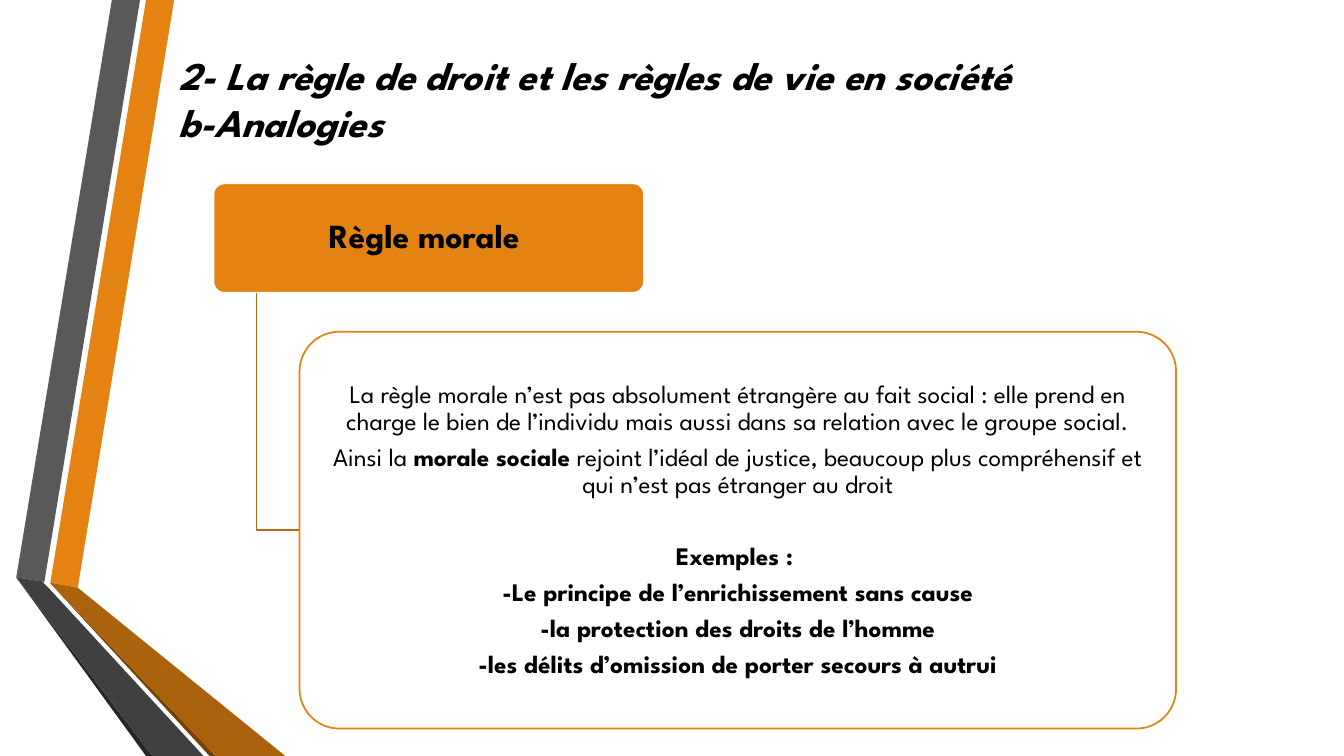
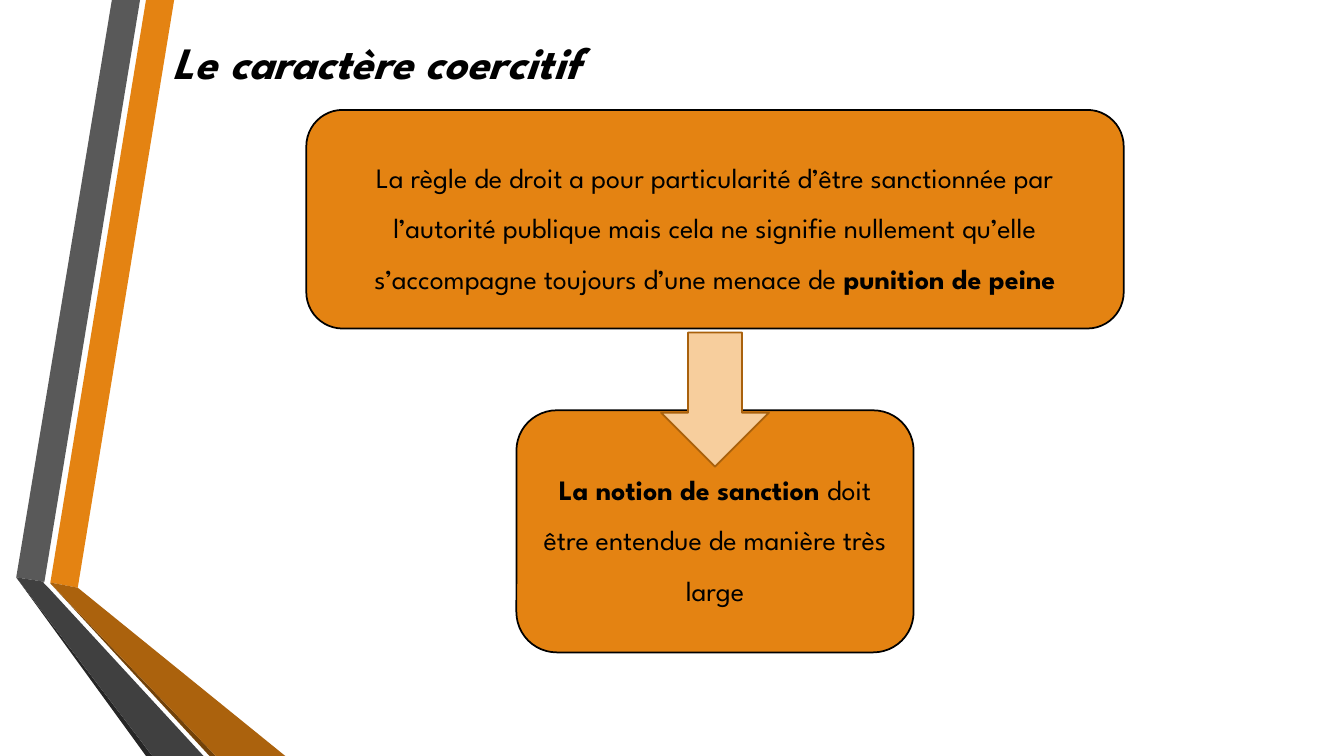
from pptx import Presentation
from pptx.dml.color import RGBColor
from pptx.enum.shapes import MSO_SHAPE
from pptx.enum.text import MSO_ANCHOR, PP_ALIGN
from pptx.util import Cm, Pt

ROUNDED = MSO_SHAPE.ROUNDED_RECTANGLE
DOWN_ARROW = MSO_SHAPE.DOWN_ARROW
MIDDLE = MSO_ANCHOR.MIDDLE
CENTER = PP_ALIGN.CENTER
LEFT = PP_ALIGN.LEFT

FONT = "League Spartan"
BLACK = RGBColor(0x00, 0x00, 0x00)
WHITE = RGBColor(0xFF, 0xFF, 0xFF)
ORANGE = RGBColor(0xE4, 0x83, 0x12)
PALE_ORANGE = RGBColor(0xF7, 0xCE, 0x9D)
ARROW_EDGE = RGBColor(0xA9, 0x61, 0x0D)
BRANCH = RGBColor(0xB7, 0x69, 0x0E)
DARK_ORANGE = RGBColor(0xAB, 0x62, 0x0D)
BROWN = RGBColor(0x72, 0x42, 0x09)
GREY = RGBColor(0x59, 0x59, 0x59)
DARK_GREY = RGBColor(0x40, 0x40, 0x40)
NEAR_BLACK = RGBColor(0x26, 0x26, 0x26)

SLIDE_WIDTH, SLIDE_HEIGHT = 33.87, 19.05
LINE_WIDTH = Pt(1.25)
SPACE_AFTER = 0.35  # share of the text size

# Corner points of the folded ribbons, in centimetres
RIBBONS = [
    (ORANGE, [(1.27, 14.68), (1.96, 14.81), (4.39, 0), (3.68, 0)]),
    (GREY, [(3.53, 0), (2.82, 0), (0.41, 14.55), (1.12, 14.66)]),
    (NEAR_BLACK, [(0.41, 14.55), (3.68, SLIDE_HEIGHT), (3.84, SLIDE_HEIGHT)]),
    (BROWN, [(1.27, 14.7), (5.28, SLIDE_HEIGHT), (5.44, SLIDE_HEIGHT)]),
    (DARK_ORANGE, [(1.27, 14.7), (5.44, SLIDE_HEIGHT), (7.19, SLIDE_HEIGHT),
                   (1.96, 14.81), (1.27, 14.68)]),
    (DARK_GREY, [(5.13, SLIDE_HEIGHT), (1.22, 14.81), (1.09, 14.68),
                 (1.12, 14.66), (0.41, 14.55), (3.84, SLIDE_HEIGHT)]),
]

MORAL_RULE = [[("Règle morale ", True)]]
MORAL_DETAILS = [
    [("La règle morale n’est pas absolument étrangère au fait social\u00a0: elle prend en "
      "charge le bien de l’individu mais aussi dans sa relation avec le groupe social.", False)],
    [("Ainsi la ", False), ("morale sociale", True),
     (" rejoint l’idéal de justice, beaucoup plus compréhensif et "
      "qui n’est pas étranger au droit", False)],
    [("Exemples : ", True)],
    [("-Le principe de l’enrichissement sans cause", True)],
    [("-la protection des droits de l’homme", True)],
    [("-les délits d’omission de porter secours à autrui", True)],
]
COERCION = [[
    ("La règle de droit a pour particularité d’être sanctionnée par l’autorité publique "
     "mais cela ne signifie nullement qu’elle s’accompagne toujours d’une menace de ", False),
    ("punition de peine", True),
]]
SANCTION = [[("La notion de sanction ", True),
             ("doit être entendue de manière très large", False)]]


def set_all(target, values):
    for name, value in values.items():
        setattr(target, name, value)


def paint(shape, fill, line=None):
    """Fill and outline a shape; None means no fill or no outline."""
    shape.shadow.inherit = False
    if fill is None:
        shape.fill.background()
    else:
        shape.fill.solid()
        shape.fill.fore_color.rgb = fill
    if line is None:
        shape.line.fill.background()
    else:
        shape.line.color.rgb = line
        shape.line.width = LINE_WIDTH


def add_run(paragraph, text, size, bold, italic=False):
    run = paragraph.add_run()
    run.text = text
    set_all(run.font, {"name": FONT, "size": Pt(size), "bold": bold, "italic": italic})
    run.font.color.rgb = BLACK


def add_outline(slide, points, fill, line=None, close=True):
    """Draw a freeform through points given in centimetres."""
    corners = [(Cm(x), Cm(y)) for x, y in points]
    builder = slide.shapes.build_freeform(*corners[0])
    builder.add_line_segments(corners[1:], close=close)
    paint(builder.convert_to_shape(), fill, line)


def add_preset(slide, kind, box, fill, line):
    shape = slide.shapes.add_shape(kind, *map(Cm, box))
    paint(shape, fill, line)
    return shape


def add_card(slide, box, paragraphs, size, fill, line, spacing, insets, corner=None):
    """Add a rounded box with centred text and return its text paragraphs."""
    shape = add_preset(slide, ROUNDED, box, fill, line)
    if corner is not None:
        shape.adjustments[0] = corner
    frame = shape.text_frame
    side, edge = map(Cm, insets)
    set_all(frame, {"word_wrap": True, "vertical_anchor": MIDDLE,
                    "margin_left": side, "margin_right": side,
                    "margin_top": edge, "margin_bottom": edge})
    for index, runs in enumerate(paragraphs):
        paragraph = frame.add_paragraph() if index else frame.paragraphs[0]
        set_all(paragraph, {"alignment": CENTER, "line_spacing": spacing,
                            "space_after": Pt(size * SPACE_AFTER)})
        for text, bold in runs:
            add_run(paragraph, text, size, bold)
    return frame.paragraphs


def add_title(slide, box, lines, size):
    frame = slide.shapes.add_textbox(*map(Cm, box)).text_frame
    set_all(frame, {"word_wrap": True, "vertical_anchor": MIDDLE})
    paragraph = frame.paragraphs[0]
    paragraph.alignment = LEFT
    for index, line in enumerate(lines):
        if index:
            paragraph.add_line_break()
        add_run(paragraph, line, size, True, italic=True)


def add_base_slide(presentation):
    """Add a blank slide with the ribbons on its left side."""
    slide = presentation.slides.add_slide(presentation.slide_layouts[6])
    for color, points in RIBBONS:
        add_outline(slide, points, color)
    return slide


def add_hierarchy(slide, box):
    """Draw a heading card and the detail card that hangs from it."""
    left, top, width, height = box
    head_width, head_height, gap = 10.85, 2.76, 0.98
    head_bottom = top + head_height
    detail_left = left + 0.2 * head_width
    detail_top = head_bottom + gap
    detail_width = left + width - detail_left
    detail_height = top + height - detail_top
    style = {"spacing": 0.9, "insets": (0.12, 0.08), "corner": 0.1}

    add_card(slide, (left, top, head_width, head_height), MORAL_RULE, 24,
             ORANGE, WHITE, **style)
    trunk = left + 0.1 * head_width
    middle = detail_top + detail_height / 2
    add_outline(slide, [(trunk, head_bottom), (trunk, middle), (detail_left, middle)],
                None, BRANCH, close=False)
    details = add_card(slide, (detail_left, detail_top, detail_width, detail_height),
                       MORAL_DETAILS, 18, WHITE, ORANGE, **style)
    details[1].space_after = Pt(32)  # sets the examples apart


def add_descent(slide, box):
    """Draw a wide card, a narrower one below it and the arrow between them."""
    left, top, width, height = box
    center = left + width / 2
    lower_width, lower_height = 10.01, 6.1
    arrow_width, arrow_height, arrow_offset = 2.72, 3.38, 5.61
    style = {"size": 20, "fill": ORANGE, "line": BLACK,
             "spacing": 1.5, "insets": (0.2, 0.1)}

    add_card(slide, (left, top, width, 5.51), COERCION, **style)
    add_card(slide, (center - lower_width / 2, top + height - lower_height,
                     lower_width, lower_height), SANCTION, **style)
    add_preset(slide, DOWN_ARROW, (center - arrow_width / 2, top + arrow_offset,
                                   arrow_width, arrow_height), PALE_ORANGE, ARROW_EDGE)


def main():
    presentation = Presentation()
    presentation.slide_width = Cm(SLIDE_WIDTH)
    presentation.slide_height = Cm(SLIDE_HEIGHT)

    analogies = add_base_slide(presentation)
    add_title(analogies, (4.24, 0.94, 27.84, 3.07),
              ["2- La règle de droit et les règles de vie en société", "b-Analogies"], 28)
    add_hierarchy(analogies, (5.38, 4.62, 24.26, 13.74))

    coercion = add_base_slide(presentation)
    add_title(coercion, (4.11, 0.66, 27.84, 1.78), ["Le caractère coercitif"], 32)
    add_descent(coercion, (7.72, 2.77, 20.6, 13.67))

    presentation.save("out.pptx")


if __name__ == "__main__":
    main()
